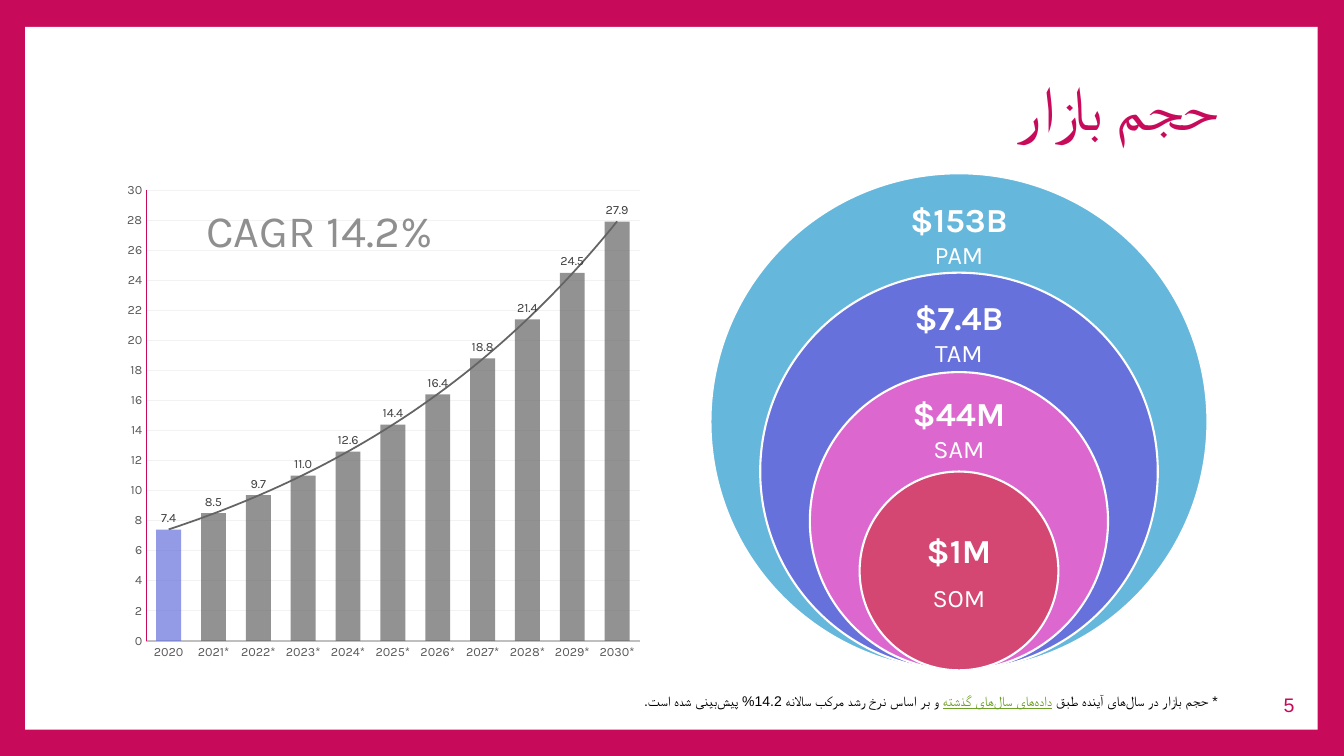
from dataclasses import dataclass
from typing import Any

from lxml import etree
from pptx import Presentation
from pptx import util as u
from pptx.chart.data import CategoryChartData
from pptx.dml.color import RGBColor
from pptx.enum import chart as ch, shapes, text
from pptx.oxml import parse_xml
from pptx.oxml.ns import nsdecls, qn

Pt = u.Pt
PINK = RGBColor(0xC8, 0x0A, 0x5A)
WHITE = RGBColor(0xFF, 0xFF, 0xFF)
BLACK = RGBColor(0, 0, 0)
GREEN = RGBColor(0x6B, 0x9F, 0x25)
SKY = RGBColor(0x66, 0xB7, 0xDC)
BLUE = RGBColor(0x67, 0x71, 0xDC)
ORCHID = RGBColor(0xDC, 0x67, 0xCE)
ROSE = RGBColor(0xD5, 0x47, 0x73)
DARK = RGBColor(0x40, 0x40, 0x40)
SLATE = RGBColor(0x59, 0x59, 0x59)
BAR = RGBColor(0x64, 0x64, 0x64)
GREY = RGBColor(0x8F, 0x8F, 0x8F)
SILVER = RGBColor(0xBF, 0xBF, 0xBF)
PALE = RGBColor(0xF2, 0xF2, 0xF2)
RIGHT, CENTER = text.PP_ALIGN.RIGHT, text.PP_ALIGN.CENTER
MIDDLE = text.MSO_ANCHOR.MIDDLE


@dataclass
class Run:
    words: str
    size: float
    color: RGBColor
    face: str = "Karla"
    bold: bool = False
    line: bool = False
    script: str = ""  # typeface for Persian letters


@dataclass
class Ring:
    paras: list[list[Run]]
    color: RGBColor
    top: float  # of the label
    high: float


def put(obj: Any, **vals: Any) -> None:
    for key, val in vals.items():
        setattr(obj, key, val)


def style(font: Any, size: float, color: RGBColor, face: str = "Karla") -> None:
    put(font, size=Pt(size), name=face)
    font.color.rgb = color


def stroke(line: Any, color: RGBColor, width: float) -> None:
    line.color.rgb = color
    line.width = Pt(width)


def shape(kind: Any, x: float, y: float, w: float, h: float, color: RGBColor) -> Any:
    form = slide.shapes.add_shape(kind, Pt(x), Pt(y), Pt(w), Pt(h))
    form.shadow.inherit = False
    form.fill.solid()
    form.fill.fore_color.rgb = color
    form.line.fill.background()
    return form


def write(x: float, y: float, w: float, h: float, paras: list[list[Run]],
          align: Any = None, rtl: bool = False, gap: float = 0, **frame: Any) -> None:
    box = slide.shapes.add_textbox(Pt(x), Pt(y), Pt(w), Pt(h)).text_frame
    put(box, word_wrap=True, **frame)
    for num, runs in enumerate(paras):
        para = box.add_paragraph() if num else box.paragraphs[0]
        para.alignment = align
        if num:
            para.space_before = Pt(gap)
        if rtl:
            para._p.get_or_add_pPr().set("rtl", "1")
        for item in runs:
            run = para.add_run()
            run.text = item.words
            style(run.font, item.size, item.color, item.face)
            put(run.font, bold=item.bold, underline=item.line)
            if item.script:
                face = etree.SubElement(run._r.get_or_add_rPr(), qn("a:cs"))
                face.set("typeface", item.script)


def tint(fill: Any, color: RGBColor) -> None:
    """Solid fill at 70% opacity."""
    fill.solid()
    fill.fore_color.rgb = color
    node = fill._xPr.find(".//" + qn("a:srgbClr"))
    etree.SubElement(node, qn("a:alpha")).set("val", "70000")


deck = Presentation()
put(deck, slide_width=Pt(960), slide_height=Pt(540))
slide = deck.slides.add_slide(deck.slide_layouts[6])

# Frame, title and footnote
slide.background.fill.solid()
slide.background.fill.fore_color.rgb = PINK
shape(shapes.MSO_SHAPE.RECTANGLE, 18, 19.2, 923.2, 502, WHITE)
write(83.5, 39, 793.5, 73.5, [[Run("حجم بازار", 44, PINK, "Calibri", script="Calibri")]],
      RIGHT, True, vertical_anchor=MIDDLE)
write(177, 491, 700, 19.5, [[
    Run("* حجم بازار در سال\u200cهای آینده طبق ", 10, BLACK, script="Arial"),
    Run("داده\u200cهای سال\u200cهای گذشته", 10, GREEN, line=True, script="Arial"),
    Run(" و بر اساس نرخ رشد مرکب سالانه 14.2% پیش\u200cبینی شده است.", 10, BLACK,
        script="Arial"),
]], RIGHT, True)


# Nested market circles, all resting on one base point
def label(sum_: str, name: str) -> list[Run]:
    return [Run(sum_, 24, WHITE, bold=True), Run(name, 18, WHITE)]


MID, BASE, WIDE = 685, 478.8, 355
INSET = dict.fromkeys(("margin_left", "margin_right", "margin_top", "margin_bottom"), Pt(13.7))
rings = [
    Ring([label("$153B ", "PAM")], SKY, 141, 53.3),
    Ring([label("$7.4B ", "TAM")], BLUE, 211.7, 51.1),
    Ring([label("$44M ", "SAM")], ORCHID, 281.5, 48.2),
    Ring([[run] for run in label("$1M", "SOM")], ROSE, 372.2, 71.3),
]
for num, ring in enumerate(rings):
    size = WIDE * (1 - num / 5)
    disc = shape(shapes.MSO_SHAPE.OVAL, MID - size / 2, BASE - size, size, size, ring.color)
    stroke(disc.line, WHITE, 1.5)
    write(MID - 50, ring.top, 100, ring.high, ring.paras, CENTER, gap=8.4,
          vertical_anchor=MIDDLE, **INSET)

# Growth chart
data = CategoryChartData(number_format="0.0")
data.categories = ["2020"] + [f"{year}*" for year in range(2021, 2031)]
data.add_series("Series 1", [7.4, 8.5, 9.7, 11, 12.6, 14.4, 16.4, 18.8, 21.4, 24.5, 27.9])
chart = slide.shapes.add_chart(ch.XL_CHART_TYPE.COLUMN_CLUSTERED, Pt(83.5), Pt(123.8),
                               Pt(381), Pt(355), data).chart
put(chart, has_legend=False, has_title=False)
style(chart.font, 10, BLACK)
for axis, color, width in ((chart.category_axis, SILVER, 1.25), (chart.value_axis, PINK, 0.75)):
    put(axis, major_tick_mark=ch.XL_TICK_MARK.NONE, minor_tick_mark=ch.XL_TICK_MARK.NONE)
    style(axis.tick_labels.font, 9, SLATE)
    stroke(axis.format.line, color, width)
scale = chart.value_axis
put(scale, minimum_scale=0, maximum_scale=30, major_unit=2, has_major_gridlines=True)
put(scale.tick_labels, number_format="0", number_format_is_linked=False)
stroke(scale.major_gridlines.format.line, PALE, 0.75)

# Bars and their values
plot = chart.plots[0]
put(plot, gap_width=80, overlap=25, vary_by_categories=False)
bars = plot.series[0]
bars.invert_if_negative = False
tint(bars.format.fill, BAR)
tint(bars.points[0].format.fill, BLUE)
tags = bars.data_labels
put(tags, show_value=True, number_format="0.0", number_format_is_linked=False,
    position=ch.XL_LABEL_POSITION.OUTSIDE_END)
style(tags.font, 9, DARK)

# Exponential trend line and plot area place
bars._element.find(qn("c:cat")).addprevious(parse_xml(
    f'<c:trendline {nsdecls("c", "a")}><c:spPr><a:ln w="{Pt(1.25)}"><a:solidFill>'
    f'<a:srgbClr val="{BAR}"/></a:solidFill></a:ln></c:spPr><c:trendlineType val="exp"/>'
    '<c:dispRSqr val="0"/><c:dispEq val="0"/></c:trendline>'))
area = chart._chartSpace.find(".//" + qn("c:plotArea"))
for old in area.findall(qn("c:layout")):
    area.remove(old)
place = "".join(f'<c:{key} val="{val}"/>' for key, val in (
    ("layoutTarget", "inner"), ("xMode", "edge"), ("yMode", "edge"),
    ("x", 0.055), ("y", 0.034), ("w", 0.925), ("h", 0.907)))
area.insert(0, parse_xml(
    f'<c:layout {nsdecls("c")}><c:manualLayout>{place}</c:manualLayout></c:layout>'))

# Growth rate and page number
write(140.4, 141, 206.6, 46, [[Run("CAGR 14.2%", 32, GREY)]])
write(861.8, 489.6, 70, 28, [[Run("5", 14, PINK, "Arial", script="Arial")]], RIGHT, True,
      vertical_anchor=MIDDLE)

deck.save("out.pptx")
